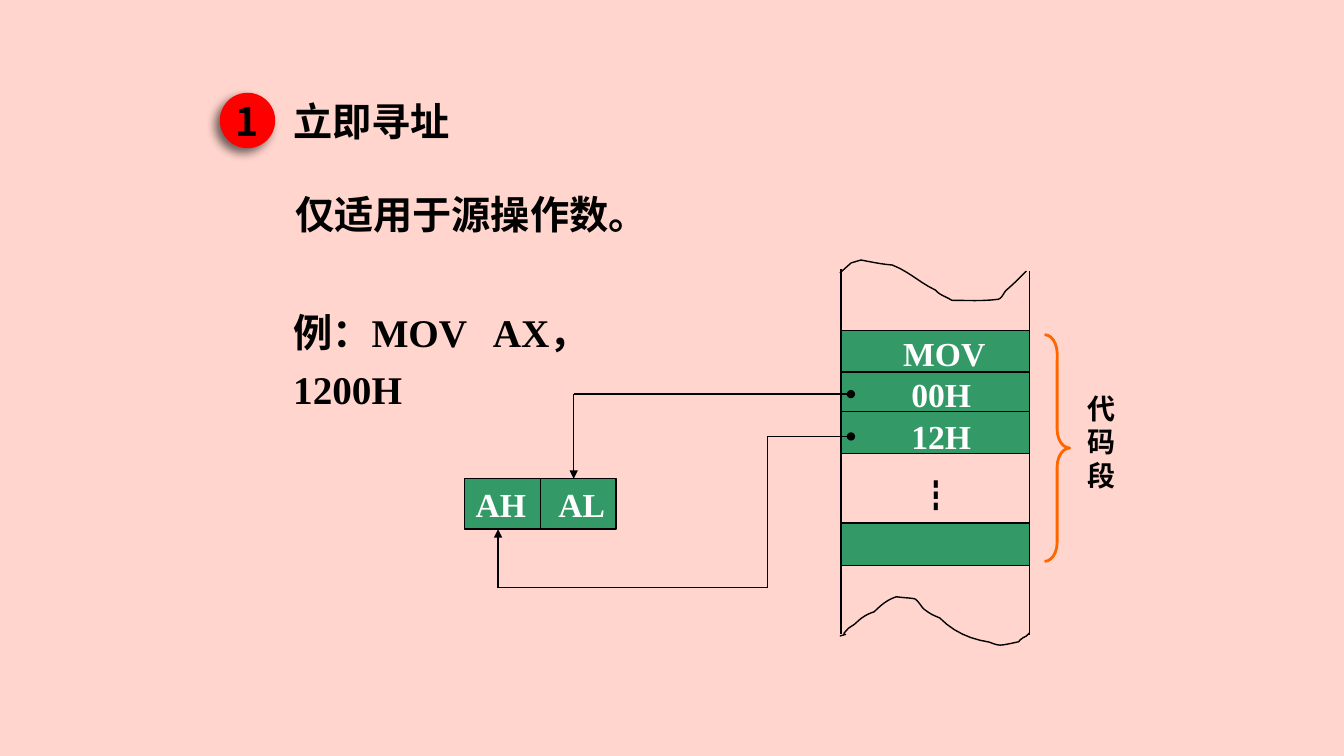
from lxml import etree
from pptx import Presentation
from pptx.dml.color import RGBColor
from pptx.enum.shapes import MSO_CONNECTOR, MSO_SHAPE
from pptx.enum.text import MSO_ANCHOR, MSO_AUTO_SIZE, PP_ALIGN
from pptx.oxml.ns import qn
from pptx.util import Inches, Pt

STRAIGHT = MSO_CONNECTOR.STRAIGHT
RECT, OVAL, BRACE = MSO_SHAPE.RECTANGLE, MSO_SHAPE.OVAL, MSO_SHAPE.RIGHT_BRACE
TOP, MIDDLE = MSO_ANCHOR.TOP, MSO_ANCHOR.MIDDLE
LEFT, CENTER = PP_ALIGN.LEFT, PP_ALIGN.CENTER
BLACK, WHITE, RED, GREEN, ORANGE, PINK = (
    "000000", "FFFFFF", "FF0000", "339966", "FF6600", "FFD5CD")
CJK, SERIF, SANS = "Noto Sans CJK SC", "Times New Roman", "Calibri"


def color(hex_string):
    return RGBColor.from_string(hex_string)


def add_xml(parent, tag, **attributes):
    return etree.SubElement(parent, qn(tag), attributes)


def write(frame, text, size=24, font=SERIF, ink=BLACK, bold=True, align=LEFT,
          anchor=TOP, wrap=True, spacing=None, tab=None):
    """Fill a text frame with one formatted paragraph; tab is in inches."""
    frame.word_wrap = wrap
    frame.vertical_anchor = anchor
    paragraph = frame.paragraphs[0]
    if tab:
        stops = add_xml(paragraph._p.get_or_add_pPr(), "a:tabLst")
        add_xml(stops, "a:tab", pos=str(Inches(tab)), algn="l")
    paragraph.alignment = align
    if spacing:
        paragraph.line_spacing = spacing
    run = paragraph.add_run()
    run.text = text
    run.font.size, run.font.bold, run.font.name = Pt(size), bold, font
    run.font.color.rgb = color(ink)
    add_xml(run._r.get_or_add_rPr(), "a:ea", typeface=CJK)


def curve_points(start, curves, steps=6):
    """Sample a chain of cubic curves, each given as two handles and an end."""
    points = [start]
    for x1, y1, x2, y2, x3, y3 in curves:
        x0, y0 = points[-1]
        for step in range(1, steps + 1):
            t = step / steps
            a, b, c, d = (1 - t) ** 3, 3 * t * (1 - t) ** 2, 3 * t * t * (1 - t), t ** 3
            points.append((a * x0 + b * x1 + c * x2 + d * x3,
                           a * y0 + b * y1 + c * y2 + d * y3))
    return points


class Diagram:
    def __init__(self, slide, ink=BLACK, weight=1):
        self.slide, self.ink, self.weight = slide, ink, weight
        slide.background.fill.solid()
        slide.background.fill.fore_color.rgb = color(PINK)

    def outline(self, shape, ink=None, weight=None):
        shape.line.color.rgb = color(ink or self.ink)
        shape.line.width = Pt(weight or self.weight)

    def shape(self, kind, left, top, width, height, fill=None):
        item = self.slide.shapes.add_shape(kind, *map(Inches, (left, top, width, height)))
        item.shadow.inherit = False
        if fill:
            item.fill.solid()
            item.fill.fore_color.rgb = color(fill)
        else:
            item.fill.background()
        return item

    def cell(self, left, top, width, height):
        self.outline(self.shape(RECT, left, top, width, height, GREEN))

    def badge(self, text, left, top, size):
        disc = self.shape(OVAL, left, top, size, size, RED)
        disc.line.fill.background()
        shadow = add_xml(disc._element.spPr.find(qn("a:effectLst")), "a:outerShdw",
                         blurRad=str(Pt(7)), dist=str(Pt(5)), dir=str(135 * 60000),
                         algn="tr", rotWithShape="0")
        add_xml(add_xml(shadow, "a:srgbClr", val=BLACK), "a:alpha", val="57000")
        write(disc.text_frame, text, size=28, font=CJK, align=CENTER,
              anchor=MIDDLE, wrap=False)

    def text(self, text, left, top, width, height, **style):
        box = self.slide.shapes.add_textbox(*map(Inches, (left, top, width, height)))
        box.text_frame.auto_size = MSO_AUTO_SIZE.SHAPE_TO_FIT_TEXT
        write(box.text_frame, text, **style)

    def line(self, start, end, head=None, tail=None):
        link = self.slide.shapes.add_connector(STRAIGHT, *map(Inches, start + end))
        self.outline(link)
        for tag, kind in (("a:headEnd", head), ("a:tailEnd", tail)):
            if kind:
                add_xml(link.line._get_or_add_ln(), tag, type=kind)
        add_xml(link._element.spPr, "a:effectLst")

    def route(self, *stops):
        """Draw straight legs from a dot at the first stop to an arrow at the last."""
        last = len(stops) - 2
        for i, (start, end) in enumerate(zip(stops, stops[1:])):
            self.line(start, end, head="oval" if i == 0 else None,
                      tail="triangle" if i == last else None)

    def torn_edge(self, start, curves):
        points = [(Inches(x), Inches(y)) for x, y in curve_points(start, curves)]
        builder = self.slide.shapes.build_freeform(*points[0])
        builder.add_line_segments(points[1:], close=False)
        edge = builder.convert_to_shape()
        edge.shadow.inherit = False
        edge.fill.background()
        self.outline(edge)

    def brace(self, left, top, width, height, bend):
        item = self.shape(BRACE, left, top, width, height)
        item.adjustments[0] = bend
        self.outline(item, ORANGE, 2)


TOP_EDGE = [
    (8.35, 2.69, 8.43, 2.62, 8.44, 2.61), (8.47, 2.6, 8.54, 2.58, 8.54, 2.58),
    (8.64, 2.6, 8.74, 2.62, 8.85, 2.63), (9.01, 2.69, 9.13, 2.81, 9.28, 2.88),
    (9.32, 2.93, 9.38, 2.94, 9.44, 2.98), (9.59, 2.98, 9.75, 2.99, 9.9, 2.97),
    (9.94, 2.96, 9.95, 2.91, 9.98, 2.88), (10.05, 2.82, 10.11, 2.76, 10.18, 2.69)]
BOTTOM_EDGE = [
    (8.46, 6.27, 8.31, 6.33, 8.4, 6.25), (8.42, 6.22, 8.46, 6.21, 8.49, 6.18),
    (8.54, 6.13, 8.6, 6.09, 8.67, 6.07), (8.74, 6, 8.8, 5.95, 8.89, 5.92),
    (8.95, 5.93, 9.01, 5.93, 9.07, 5.94), (9.1, 5.95, 9.14, 6.02, 9.16, 6.04),
    (9.24, 6.1, 9.25, 6.1, 9.32, 6.13), (9.46, 6.27, 9.62, 6.34, 9.81, 6.37),
    (9.92, 6.41, 9.9, 6.41, 10.09, 6.37), (10.11, 6.37, 10.11, 6.35, 10.13, 6.34),
    (10.14, 6.33, 10.16, 6.32, 10.18, 6.31), (10.19, 6.3, 10.21, 6.28, 10.21, 6.28)]


def main():
    deck = Presentation()
    deck.slide_width, deck.slide_height = Inches(13.33), Inches(7.5)
    diagram = Diagram(deck.slides.add_slide(deck.slide_layouts[6]))

    diagram.badge("1", 2.18, 0.92, 0.55)
    diagram.text("立即寻址", 2.81, 0.92, 1.76, 0.53, size=28, font=SANS, wrap=False)
    diagram.text("仅适用于源操作数。", 2.83, 1.84, 3.7, 0.53, size=28, font=SANS, wrap=False)
    diagram.text("例：MOV\tAX，1200H", 2.81, 2.92, 4.08, 0.53, size=28,
                 spacing=1.2, tab=1.98)

    memory_left, memory_right = 8.34, 10.21
    for top in (3.28, 3.69, 4.08, 5.19):
        diagram.cell(memory_left, top, memory_right - memory_left, 0.42)
    diagram.line((memory_left, 2.67), (memory_left, 6.29))
    diagram.line((memory_right, 2.69), (memory_right, 6.3))
    diagram.torn_edge((8.33, 2.71), TOP_EDGE)
    diagram.torn_edge((8.33, 6.31), BOTTOM_EDGE)

    diagram.cell(4.61, 4.75, 1.5, 0.5)
    diagram.line((5.36, 4.75), (5.36, 5.25))
    diagram.route((8.44, 3.91), (5.69, 3.91), (5.69, 4.75))
    diagram.route((8.44, 4.33), (7.61, 4.33), (7.61, 5.83), (4.94, 5.83), (4.94, 5.25))

    for label, left, top, width in (("MOV", 8.86, 3.25, 1.08), ("00H", 8.94, 3.66, 0.92),
                                    ("12H", 8.94, 4.08, 0.92)):
        diagram.text(label, left, top, width, 0.5, ink=WHITE)
    diagram.text("AH\tAL", 4.62, 4.75, 1.67, 0.5, ink=WHITE, tab=0.82)
    diagram.text("┇", 9.02, 4.66, 0.67, 0.5, font=CJK, bold=False)
    diagram.brace(10.36, 3.32, 0.25, 2.25, 0.745)
    diagram.text("代码段", 10.69, 3.83, 0.5, 1.02, size=20)

    deck.save("out.pptx")


if __name__ == "__main__":
    main()
